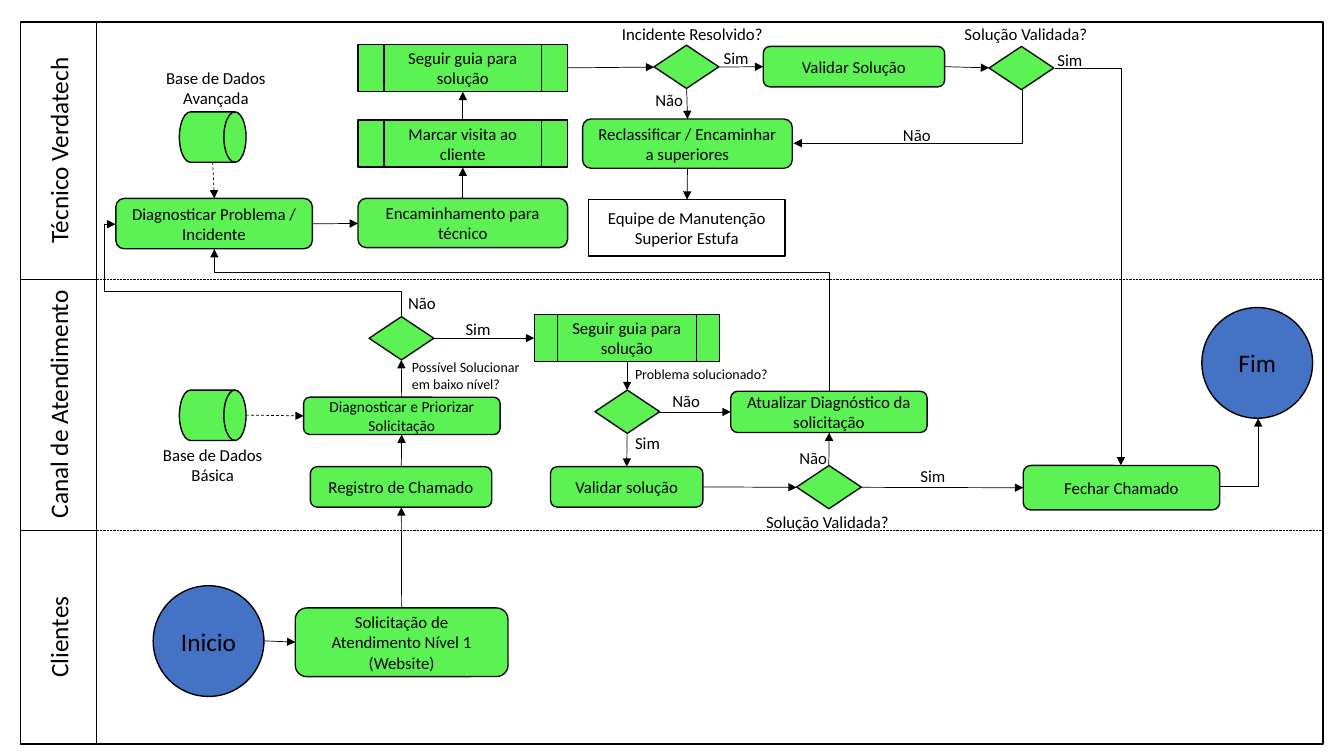
from dataclasses import dataclass

from lxml import etree
from pptx import Presentation
from pptx import util as u
from pptx.dml.color import RGBColor
from pptx.enum import dml, shapes, text
from pptx.oxml.ns import qn

GREEN, BLUE, BLACK, INK = "5CF254", "4472C4", "000000", "0D0D0D"
M = shapes.MSO_SHAPE
STEP, GUIDE, CHOICE = M.FLOWCHART_ALTERNATE_PROCESS, M.FLOWCHART_PREDEFINED_PROCESS, M.FLOWCHART_DECISION
STORE, END, BOX = M.FLOWCHART_DIRECT_ACCESS_STORAGE, M.OVAL, M.RECTANGLE
EDGES = {STEP: INK, CHOICE: INK}
FILLS = {END: BLUE, BOX: None}
SIDES = {"top": (0.5, 0), "bottom": (0.5, 1), "left": (0, 0.5), "right": (1, 0.5)}


@dataclass
class Node:
    kind: M
    x: float
    y: float
    w: float
    h: float
    words: str = ""
    size: int = 12

    def side(self, name: str) -> tuple[float, float]:
        fx, fy = SIDES[name]
        return self.x + fx * self.w, self.y + fy * self.h


@dataclass
class Label:
    words: str
    x: float
    y: float
    w: float
    h: float = 0.3
    size: int = 12
    centred: bool = False
    turn: int = 0


@dataclass
class Link:
    start: str
    end: str
    sides: str = "right left"
    dashed: bool = False


@dataclass
class Elbow:
    x: float
    y: float
    w: float
    h: float
    preset: str
    turn: int = 0
    flip: bool = False
    bends: tuple[int, ...] = ()


def cm(inches: float) -> u.Length:
    return u.Cm(round(inches * 2.54, 2))


def rgb(value: str) -> RGBColor:
    return RGBColor.from_string(value)


def write(tf, words: str, size: int, centred: bool) -> None:
    tf.word_wrap = True
    tf.text = words
    for p in tf.paragraphs:
        p.alignment = text.PP_ALIGN.CENTER if centred else text.PP_ALIGN.LEFT
        p.font.name, p.font.size = "Calibri", u.Pt(size)
        p.font.color.rgb = rgb(BLACK)


def draw_node(s, n: Node) -> None:
    sp = s.shapes.add_shape(n.kind, *map(cm, (n.x, n.y, n.w, n.h)))
    sp.shadow.inherit = False
    fill = FILLS.get(n.kind, GREEN)
    if fill:
        sp.fill.solid()
        sp.fill.fore_color.rgb = rgb(fill)
    else:
        sp.fill.background()
    sp.line.color.rgb, sp.line.width = rgb(EDGES.get(n.kind, BLACK)), u.Pt(1)
    if n.words:
        sp.text_frame.vertical_anchor = text.MSO_ANCHOR.MIDDLE
        write(sp.text_frame, n.words, n.size, True)


def draw_label(s, b: Label) -> None:
    sp = s.shapes.add_textbox(*map(cm, (b.x, b.y, b.w, b.h)))
    sp.rotation = b.turn
    write(sp.text_frame, b.words, b.size, b.centred)


def draw_line(s, start: tuple, end: tuple, dash=None, arrow: bool = True):
    c = s.shapes.add_connector(shapes.MSO_CONNECTOR.STRAIGHT, *map(cm, (*start, *end)))
    c.line.color.rgb, c.line.width = rgb(BLACK), u.Pt(0.5)
    if dash:
        c.line.dash_style = dash
    if arrow:
        etree.SubElement(c.line._get_or_add_ln(), qn("a:tailEnd"), type="triangle")
    etree.SubElement(c._element.spPr, qn("a:effectLst"))
    return c


def draw_elbow(s, e: Elbow) -> None:
    c = draw_line(s, (e.x, e.y), (e.x + e.w, e.y + e.h))
    xfrm = c._element.spPr.find(qn("a:xfrm"))
    xfrm.set("rot", str(e.turn * 60000))
    xfrm.set("flipV", str(int(e.flip)))
    geom = c._element.spPr.find(qn("a:prstGeom"))
    geom.set("prst", e.preset)
    guides = geom.find(qn("a:avLst"))
    for i, bend in enumerate(e.bends, 1):
        etree.SubElement(guides, qn("a:gd"), name=f"adj{i}", fmla=f"val {bend}")


LEFT, RIGHT, TOP, BOTTOM, LANE_X = 0.2, 13.12, 0.22, 7.38, 0.96
LANES = [2.77, 5.26]

nodes = {
    "inicio": Node(END, 1.52, 5.81, 1.1, 1.1, "Inicio", 18),
    "solicitacao": Node(STEP, 2.93, 6.03, 2.11, 0.68, "Solicitação de Atendimento Nível 1 (Website)"),
    "registro": Node(STEP, 3.08, 4.63, 1.8, 0.4, "Registro de Chamado"),
    "priorizar": Node(STEP, 3.01, 3.94, 1.95, 0.37, "Diagnosticar e Priorizar Solicitação", 11),
    "base_basica": Node(STORE, 1.78, 3.87, 0.66, 0.5),
    "baixo_nivel": Node(CHOICE, 3.66, 3.14, 0.64, 0.43),
    "guia_canal": Node(GUIDE, 5.3, 3.12, 1.84, 0.47, "Seguir guia para solução"),
    "solucionado": Node(CHOICE, 5.9, 3.87, 0.64, 0.43),
    "validar_canal": Node(STEP, 5.46, 4.63, 1.51, 0.4, "Validar solução"),
    "validada_canal": Node(CHOICE, 7.9, 4.62, 0.64, 0.43),
    "atualizar": Node(STEP, 7.25, 3.88, 1.95, 0.41, "Atualizar Diagnóstico da solicitação"),
    "fechar": Node(STEP, 10.15, 4.62, 1.95, 0.44, "Fechar Chamado"),
    "fim": Node(END, 11.92, 3.05, 1.1, 1.1, "Fim", 18),
    "base_avancada": Node(STORE, 1.78, 1.11, 0.66, 0.5),
    "diagnosticar": Node(STEP, 1.15, 1.97, 1.95, 0.5, "Diagnosticar Problema / Incidente"),
    "encaminhar": Node(STEP, 3.55, 1.97, 2.08, 0.49, "Encaminhamento para técnico"),
    "visita": Node(GUIDE, 3.55, 1.19, 2.08, 0.47, "Marcar visita ao cliente"),
    "guia_tecnico": Node(GUIDE, 3.55, 0.44, 2.08, 0.47, "Seguir guia para solução"),
    "resolvido": Node(CHOICE, 6.49, 0.45, 0.64, 0.43),
    "validar_tecnico": Node(STEP, 7.57, 0.46, 1.8, 0.4, "Validar Solução"),
    "validada_tecnico": Node(CHOICE, 9.81, 0.46, 0.64, 0.43),
    "reclassificar": Node(STEP, 5.78, 1.18, 2.08, 0.49, "Reclassificar / Encaminhar a superiores"),
    "equipe": Node(BOX, 5.84, 1.98, 1.95, 0.56, "Equipe de Manutenção\nSuperior Estufa"),
}
UP, DOWN = "top bottom", "bottom top"
links = [
    Link("inicio", "solicitacao"), Link("solicitacao", "registro", UP),
    Link("registro", "priorizar", UP), Link("priorizar", "baixo_nivel", UP),
    Link("base_basica", "priorizar", dashed=True), Link("baixo_nivel", "guia_canal"),
    Link("guia_canal", "solucionado", DOWN), Link("solucionado", "validar_canal", DOWN),
    Link("solucionado", "atualizar"), Link("validar_canal", "validada_canal"),
    Link("validada_canal", "atualizar", UP), Link("validada_canal", "fechar"),
    Link("base_avancada", "diagnosticar", DOWN, True), Link("diagnosticar", "encaminhar"),
    Link("encaminhar", "visita", UP), Link("visita", "guia_tecnico", UP),
    Link("guia_tecnico", "resolvido"), Link("resolvido", "validar_tecnico"),
    Link("resolvido", "reclassificar", DOWN), Link("reclassificar", "equipe", DOWN),
    Link("validar_tecnico", "validada_tecnico"),
]
elbows = [
    Elbow(4.47, 0.13, 1.41, 6.1, "bentConnector3", 270, True, (84000,)),
    Elbow(2.11, 1.26, 0.91, 2.84, "bentConnector4", 270, True, (27100, 104000)),
    Elbow(8.74, 0.02, 0.53, 2.27, "bentConnector2", 90),
    Elbow(10.46, 0.68, 0.66, 3.94, "bentConnector2"),
    Elbow(12.1, 4.15, 0.38, 0.68, "bentConnector2", 0, True),
]
labels = [
    Label("Clientes", -0.02, 6.12, 1.2, 0.4, 18, True, 270),
    Label("Técnico Verdatech", -0.52, 1.29, 2.2, 0.4, 18, True, 270),
    Label("Canal de Atendimento", -0.66, 3.81, 2.48, 0.4, 18, True, 270),
    Label("Possível Solucionar em baixo nível?", 3.99, 3.51, 1.29, 0.44, 10),
    Label("Problema solucionado?", 6.2, 3.58, 1.54, 0.27, 10),
    Label("Base de Dados\nBásica", 1.5, 4.36, 1.22, 0.5, centred=True),
    Label("Base de Dados Avançada", 1.53, 0.62, 1.22, 0.5, centred=True),
    Label("Incidente Resolvido?", 6.07, 0.19, 1.66),
    Label("Solução Validada?", 9.47, 0.19, 1.44),
    Label("Solução Validada?", 7.5, 5.03, 1.44),
]
answers = {
    "Sim": [(4.52, 3.11), (7.08, 0.42), (6.2, 4.24), (10.39, 0.44), (9.03, 4.57)],
    "Não": [(3.95, 2.86), (6.4, 0.84), (6.57, 3.83), (8.86, 1.19), (7.83, 4.39)],
}
labels += [Label(word, x, y, 0.51) for word, spots in answers.items() for x, y in spots]

prs = Presentation()
prs.slide_width, prs.slide_height = cm(13.33), cm(7.5)
s = prs.slides.add_slide(prs.slide_layouts[6])
draw_node(s, Node(BOX, LEFT, TOP, RIGHT - LEFT, BOTTOM - TOP))
draw_line(s, (LANE_X, TOP), (LANE_X, BOTTOM), arrow=False)
for y in LANES:
    draw_line(s, (LEFT, y), (LANE_X, y), arrow=False)
    draw_line(s, (LANE_X, y), (RIGHT, y), dml.MSO_LINE.ROUND_DOT, False)
for node in nodes.values():
    draw_node(s, node)
for link in links:
    leave, reach = link.sides.split()
    dash = dml.MSO_LINE.DASH if link.dashed else None
    draw_line(s, nodes[link.start].side(leave), nodes[link.end].side(reach), dash)
for elbow in elbows:
    draw_elbow(s, elbow)
for label in labels:
    draw_label(s, label)
prs.save("out.pptx")
